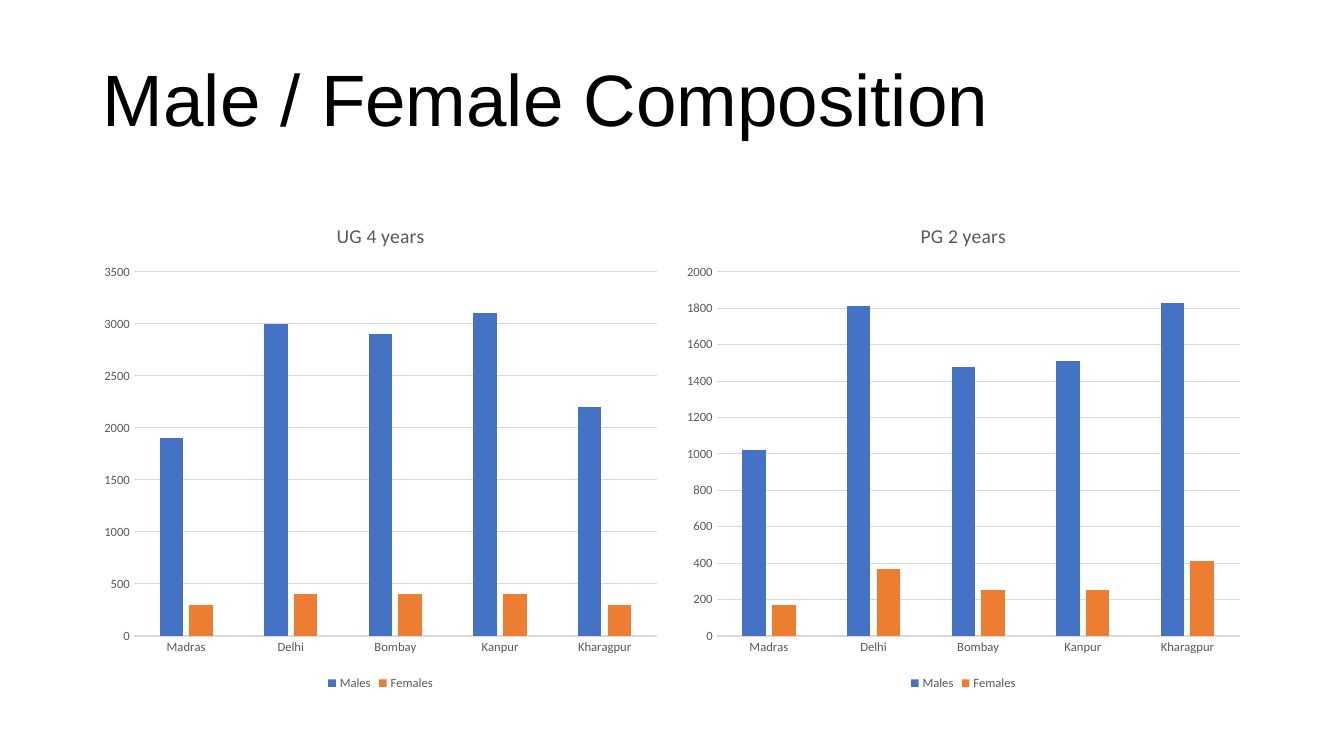
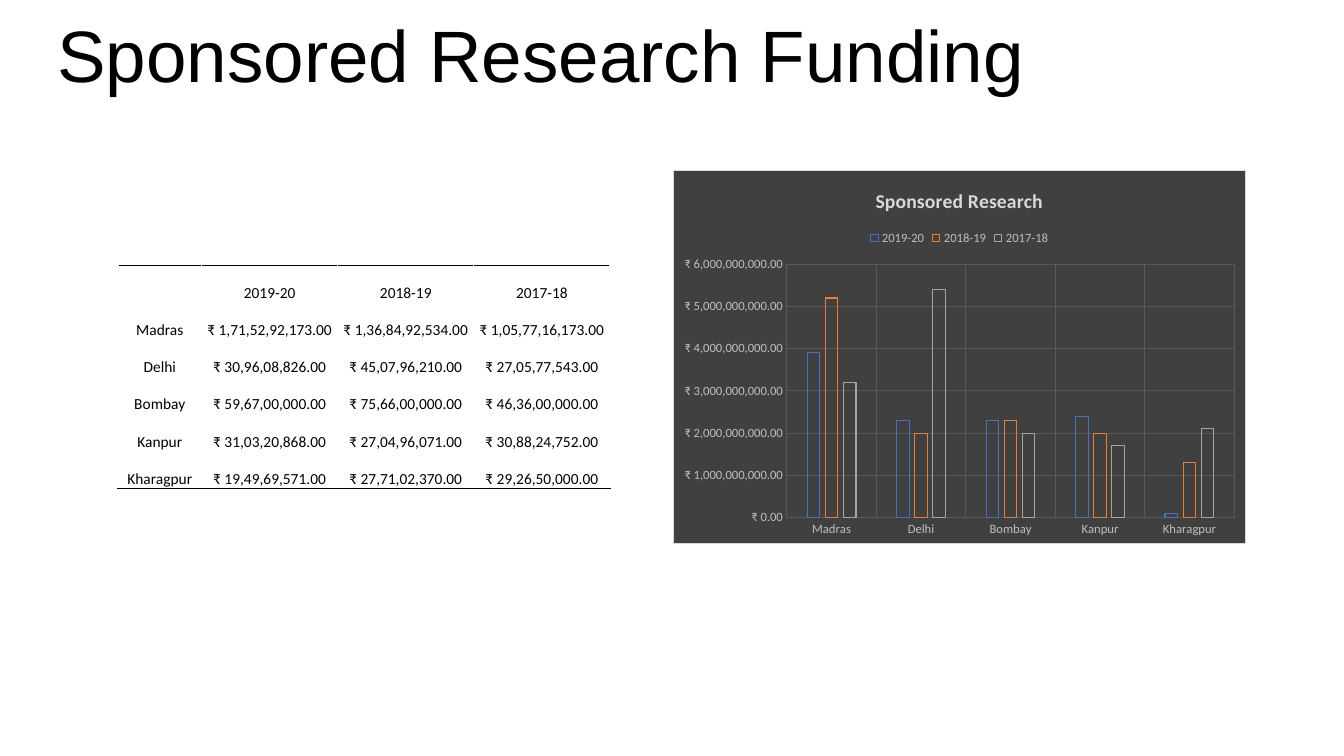
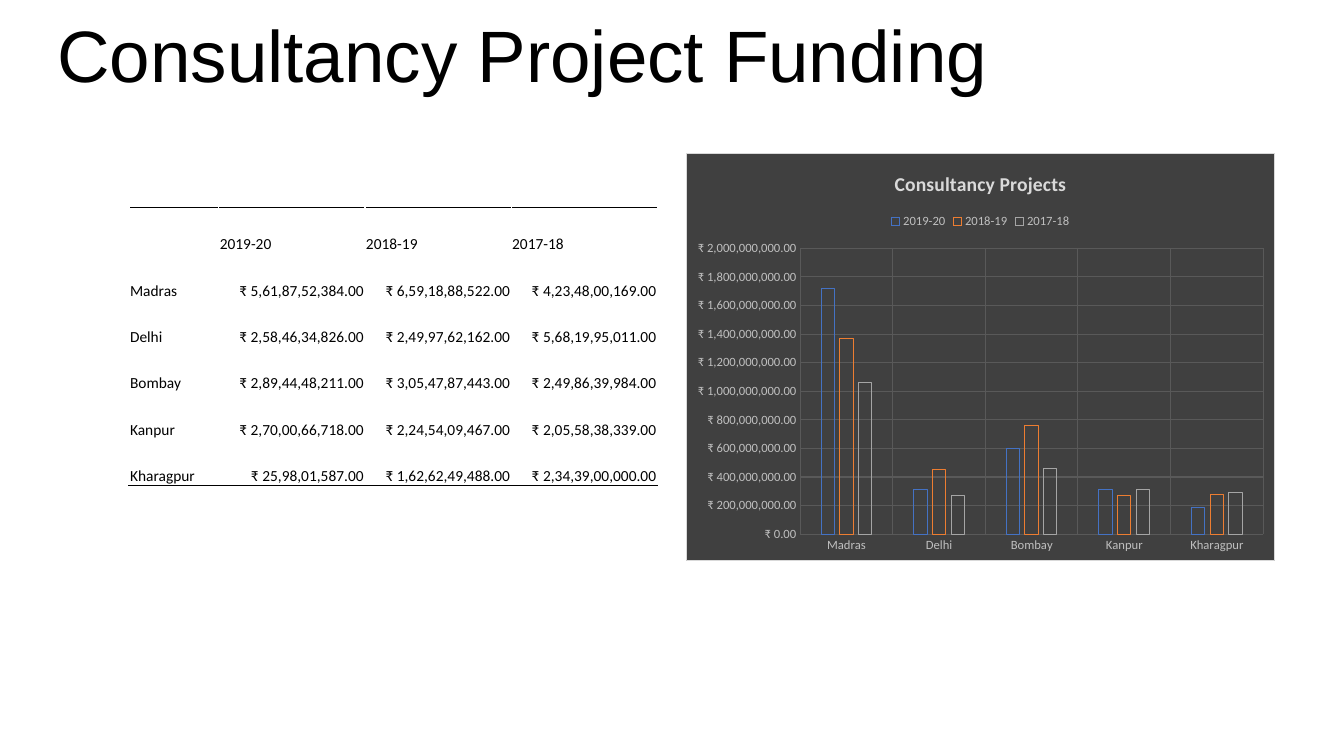
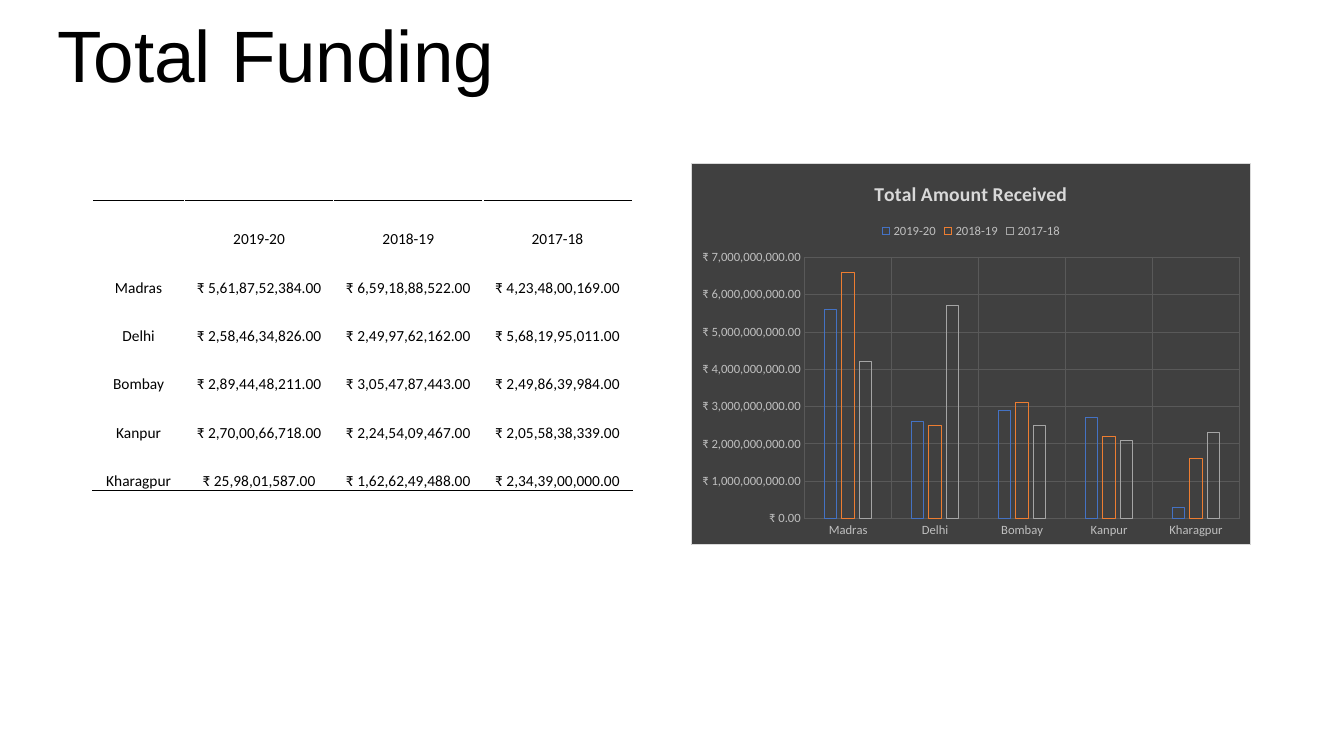
"""Build four slides comparing student composition and funding at five institutes."""
from lxml.etree import SubElement
from pptx import Presentation
from pptx.chart.data import CategoryChartData
from pptx.dml.color import RGBColor
from pptx.enum.chart import XL_CHART_TYPE, XL_LEGEND_POSITION, XL_TICK_MARK
from pptx.enum.text import MSO_ANCHOR, MSO_AUTO_SIZE, PP_ALIGN
from pptx.oxml import parse_xml
from pptx.oxml.ns import nsdecls, qn
from pptx.util import Emu, Pt

PX = 9144
BLACK, SILVER = "000000", "D9D9D9"
TITLE_FONT, BODY_FONT = "Arial", "Calibri"
TITLE_LAYOUT = 5
FUNDING_TITLE = (47, 35, 1150, 46)
LEFT, CENTER, RIGHT = PP_ALIGN.LEFT, PP_ALIGN.CENTER, PP_ALIGN.RIGHT

LIGHT = {
    "gap": 219, "overlap": -27, "title": "595959", "bold": False, "text": "595959",
    "grid": SILVER, "axis": SILVER, "upright_grid": False, "fill": None,
    "legend": XL_LEGEND_POSITION.BOTTOM, "format": "General",
    "series": ["4472C4", "ED7D31"], "outlined": False,
}
DARK = {
    "gap": 315, "overlap": -40, "title": SILVER, "bold": True, "text": "BFBFBF",
    "grid": "595959", "axis": None, "upright_grid": True, "fill": "404040",
    "legend": XL_LEGEND_POSITION.TOP, "format": '"₹"\\ #,##0.00',
    "series": ["4472C4", "ED7D31", "A5A5A5"], "outlined": True,
}

INSTITUTES = ["Madras", "Delhi", "Bombay", "Kanpur", "Kharagpur"]
GENDERS = ["Males", "Females"]
YEARS = ["2019-20", "2018-19", "2017-18"]
MILLION = 1_000_000

SPONSORED_ROWS = [
    ["₹ 1,71,52,92,173.00", "₹ 1,36,84,92,534.00", "₹ 1,05,77,16,173.00"],
    ["₹ 30,96,08,826.00", "₹ 45,07,96,210.00", "₹ 27,05,77,543.00"],
    ["₹ 59,67,00,000.00", "₹ 75,66,00,000.00", "₹ 46,36,00,000.00"],
    ["₹ 31,03,20,868.00", "₹ 27,04,96,071.00", "₹ 30,88,24,752.00"],
    ["₹ 19,49,69,571.00", "₹ 27,71,02,370.00", "₹ 29,26,50,000.00"],
]
TOTAL_ROWS = [
    ["₹ 5,61,87,52,384.00", "₹ 6,59,18,88,522.00", "₹ 4,23,48,00,169.00"],
    ["₹ 2,58,46,34,826.00", "₹ 2,49,97,62,162.00", "₹ 5,68,19,95,011.00"],
    ["₹ 2,89,44,48,211.00", "₹ 3,05,47,87,443.00", "₹ 2,49,86,39,984.00"],
    ["₹ 2,70,00,66,718.00", "₹ 2,24,54,09,467.00", "₹ 2,05,58,38,339.00"],
    ["₹ 25,98,01,587.00", "₹ 1,62,62,49,488.00", "₹ 2,34,39,00,000.00"],
]

SLIDES = [
    {
        "title": "Male / Female Composition", "title_box": (92, 20, 1150, 165),
        "charts": [
            {"title": "UG 4 years", "box": (92, 202, 571, 487), "style": LIGHT,
             "names": GENDERS, "unit": 1, "top": 3500, "step": 500,
             "values": [[1900, 3000, 2900, 3100, 2200], [300, 400, 400, 400, 300]]},
            {"title": "PG 2 years", "box": (670, 202, 571, 487), "style": LIGHT,
             "names": GENDERS, "unit": 1, "top": 2000, "step": 200,
             "values": [[1020, 1810, 1480, 1510, 1830], [170, 370, 250, 250, 410]]},
        ],
    },
    {
        "title": "Sponsored Research Funding", "title_box": FUNDING_TITLE,
        "table": {"rows": SPONSORED_ROWS, "at": (117, 263), "columns": (83, 135), "row": 37,
                  "aligns": (CENTER, CENTER, CENTER)},
        "charts": [
            {"title": "Sponsored Research", "box": (667, 169, 569, 371), "style": DARK,
             "names": YEARS, "unit": MILLION, "top": 6000, "step": 1000,
             "values": [[3900, 2300, 2300, 2400, 100], [5200, 2000, 2300, 2000, 1300],
                        [3200, 5400, 2000, 1700, 2100]]},
        ],
    },
    {
        "title": "Consultancy Project Funding", "title_box": FUNDING_TITLE,
        "table": {"rows": TOTAL_ROWS, "at": (128, 206), "columns": (89, 145), "row": 46,
                  "aligns": (LEFT, LEFT, RIGHT)},
        "charts": [
            {"title": "Consultancy Projects", "box": (680, 152, 585, 405), "style": DARK,
             "names": YEARS, "unit": MILLION, "top": 2000, "step": 200,
             "values": [[1720, 310, 600, 310, 190], [1370, 450, 760, 270, 280],
                        [1060, 270, 460, 310, 290]]},
        ],
    },
    {
        "title": "Total Funding", "title_box": FUNDING_TITLE,
        "table": {"rows": TOTAL_ROWS, "at": (92, 199), "columns": (91, 148), "row": 48,
                  "aligns": (CENTER, CENTER, CENTER)},
        "charts": [
            {"title": "Total Amount Received", "box": (685, 162, 556, 379), "style": DARK,
             "names": YEARS, "unit": MILLION, "top": 7000, "step": 1000,
             "values": [[5600, 2600, 2900, 2700, 300], [6600, 2500, 3100, 2200, 1600],
                        [4200, 5700, 2500, 2100, 2300]]},
        ],
    },
]


def px(*lengths):
    return [Emu(length * PX) for length in lengths]


def color(value):
    return RGBColor.from_string(value)


def set_font(font, name, size, value, bold=False):
    font.name, font.size, font.bold = name, Pt(size), bold
    font.color.rgb = color(value)


def set_line(line, value, width=0.75):
    if value is None:
        line.fill.background()
    else:
        line.color.rgb, line.width = color(value), Pt(width)


def set_title(slide, text, box):
    title = slide.shapes.title
    title.left, title.top, title.width, title.height = px(*box)
    frame = title.text_frame
    frame.text = text
    frame.word_wrap, frame.auto_size = True, MSO_AUTO_SIZE.NONE
    frame.vertical_anchor = MSO_ANCHOR.MIDDLE
    para = frame.paragraphs[0]
    para.alignment, para.line_spacing = LEFT, 0.9
    set_font(para.runs[0].font, TITLE_FONT, 52, BLACK)


def set_border(cell, side):
    line = SubElement(cell._tc.get_or_add_tcPr(), qn(f"a:{side}"), w=str(Pt(1)))
    fill = SubElement(line, qn("a:solidFill"))
    SubElement(fill, qn("a:srgbClr"), val=BLACK)


def add_funding_table(slide, rows, at, columns, row, aligns):
    corner_align, head_align, value_align = aligns
    grid = [["", *YEARS]] + [[name, *amounts] for name, amounts in zip(INSTITUTES, rows)]
    widths = [columns[0]] + [columns[1]] * len(YEARS)
    box = px(*at, sum(widths), row * len(grid))
    table = slide.shapes.add_table(len(grid), len(widths), *box).table
    table.first_row = table.horz_banding = False
    for column, width in zip(table.columns, px(*widths)):
        column.width = width
    for r, texts in enumerate(grid):
        for c, text in enumerate(texts):
            cell = table.cell(r, c)
            cell.margin_left, cell.margin_top, cell.margin_right, cell.margin_bottom = px(1, 1, 1, 0)
            cell.vertical_anchor = MSO_ANCHOR.BOTTOM
            if r == 0:
                set_border(cell, "lnT")
            if r == len(grid) - 1:
                set_border(cell, "lnB")
            cell.fill.background()
            cell.text = text
            para = cell.text_frame.paragraphs[0]
            para.alignment = corner_align if c == 0 else head_align if r == 0 else value_align
            for span in para.runs:
                set_font(span.font, BODY_FONT, 11, BLACK)


def set_chart_area(chart, fill):
    solid = '<a:solidFill><a:srgbClr val="{}"/></a:solidFill>'
    area = solid.format(fill) if fill else "<a:noFill/>"
    border = solid.format(SILVER) if fill else "<a:noFill/>"
    properties = parse_xml(
        f'<c:spPr {nsdecls("c", "a")}>{area}<a:ln w="{Pt(0.75)}">{border}</a:ln></c:spPr>')
    chart._chartSpace.find(qn("c:chart")).addnext(properties)


def add_column_chart(slide, title, box, style, names, unit, top, step, values):
    data = CategoryChartData(number_format=style["format"])
    data.categories = INSTITUTES
    for name, numbers in zip(names, values):
        data.add_series(name, [number * unit for number in numbers])
    chart = slide.shapes.add_chart(XL_CHART_TYPE.COLUMN_CLUSTERED, *px(*box), data).chart
    set_font(chart.font, BODY_FONT, 10, BLACK)
    set_chart_area(chart, style["fill"])

    chart.has_title = True
    chart.chart_title.include_in_layout = False
    frame = chart.chart_title.text_frame
    frame.text = title
    set_font(frame.paragraphs[0].runs[0].font, BODY_FONT, 14, style["title"], style["bold"])

    chart.has_legend = True
    chart.legend.position, chart.legend.include_in_layout = style["legend"], False
    set_font(chart.legend.font, BODY_FONT, 9, style["text"])

    category, value = chart.category_axis, chart.value_axis
    category.has_major_gridlines, value.has_major_gridlines = style["upright_grid"], True
    for axis, line in ((category, style["axis"]), (value, None)):
        axis.major_tick_mark = axis.minor_tick_mark = XL_TICK_MARK.NONE
        set_font(axis.tick_labels.font, BODY_FONT, 9, style["text"])
        set_line(axis.format.line, line)
        if axis.has_major_gridlines:
            set_line(axis.major_gridlines.format.line, style["grid"])
    value.minimum_scale, value.maximum_scale, value.major_unit = 0, top * unit, step * unit
    value.tick_labels.number_format = style["format"]
    value.tick_labels.number_format_is_linked = False

    plot = chart.plots[0]
    plot.gap_width, plot.overlap, plot.vary_by_categories = style["gap"], style["overlap"], False
    for series, tone in zip(plot.series, style["series"]):
        if style["outlined"]:
            series.format.fill.background()
            set_line(series.format.line, tone)
        else:
            series.format.fill.solid()
            series.format.fill.fore_color.rgb = color(tone)


def main():
    deck = Presentation()
    deck.slide_width, deck.slide_height = px(1333, 750)
    for page in SLIDES:
        slide = deck.slides.add_slide(deck.slide_layouts[TITLE_LAYOUT])
        set_title(slide, page["title"], page["title_box"])
        if "table" in page:
            add_funding_table(slide, **page["table"])
        for chart in page["charts"]:
            add_column_chart(slide, **chart)
    deck.save("out.pptx")


if __name__ == "__main__":
    main()
